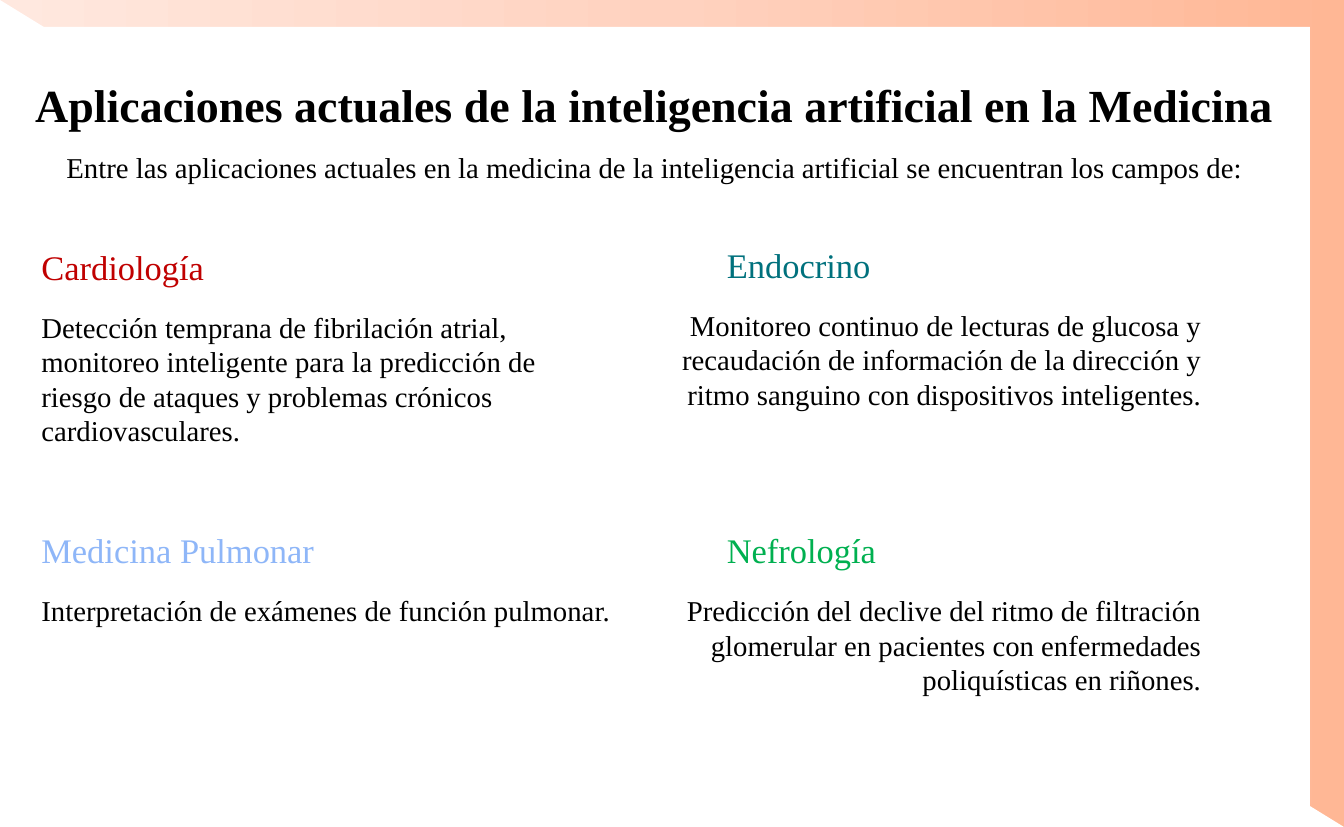
from copy import deepcopy

from pptx import Presentation
from pptx.dml.color import RGBColor
from pptx.enum.shapes import MSO_SHAPE as Shape
from pptx.enum.text import MSO_ANCHOR as Anchor, MSO_AUTO_SIZE as AutoSize, PP_ALIGN as Align
from pptx.oxml.ns import qn
from pptx.util import Inches, Pt

FONT = "Times New Roman"
BLACK = RGBColor(0x00, 0x00, 0x00)
WHITE = RGBColor(0xFF, 0xFF, 0xFF)
RED = RGBColor(0xC0, 0x00, 0x00)
TEAL = RGBColor(0x00, 0x71, 0x7D)
BLUE = RGBColor(0x8E, 0xB6, 0xF8)
GREEN = RGBColor(0x00, 0xB0, 0x50)
PEACH = RGBColor(0xFF, 0xB7, 0x95)
PEACH_MID = RGBColor(0xFF, 0xD2, 0xBF)
PEACH_PALE = RGBColor(0xFF, 0xE8, 0xDF)

TITLE = "Aplicaciones actuales de la inteligencia artificial en la Medicina"
INTRO = ("Entre las aplicaciones actuales en la medicina de la inteligencia "
         "artificial se encuentran los campos de:")

# Heading, colour, description, box, heading indent, description alignment
FIELDS = [
    ("Cardiología", RED,
     "Detección temprana de fibrilación atrial, monitoreo inteligente para la predicción "
     "de riesgo de ataques y problemas crónicos cardiovasculares.",
     (0.3, 2.33, 5.65, 2.08), 0, Align.LEFT),
    ("Medicina Pulmonar", BLUE,
     "Interpretación de exámenes de función pulmonar.",
     (0.3, 5.07, 5.79, 1.63), 0, Align.LEFT),
    ("Endocrino", TEAL,
     "Monitoreo continuo de lecturas de glucosa y recaudación de información de la "
     "dirección y ritmo sanguino con dispositivos inteligentes.",
     (5.93, 2.31, 5.79, 2.08), 1, Align.RIGHT),
    ("Nefrología", GREEN,
     "Predicción del declive del ritmo de filtración glomerular en pacientes con "
     "enfermedades poliquísticas en riñones.",
     (5.93, 5.07, 5.79, 1.63), 1, Align.RIGHT),
]


def write(para, text, size=20, color=BLACK, bold=False, align=Align.LEFT,
          indent=0, before=0, spacing=None):
    """Fill a paragraph with one formatted span, without a bullet."""
    properties = para._p.get_or_add_pPr()
    properties.set("marL", str(Inches(indent)))
    properties.set("indent", "0")
    para.alignment = align
    para.space_before = Pt(before)
    para.line_spacing = spacing or Pt(size * 1.2)
    properties.append(properties.makeelement(qn("a:buNone"), {}))
    span = para.add_run()
    span.text = text
    span.font.name = FONT
    span.font.size = Pt(size)
    span.font.bold = bold
    span.font.color.rgb = color


class SlideBuilder:
    """Holds the current slide and its shared style."""

    def __init__(self, page):
        self.page = page
        self.backdrop_count = 0

    def place(self, box, area):
        """Move a text holder and return its top-anchored frame."""
        box.left, box.top, box.width, box.height = map(Inches, area)
        frame = box.text_frame
        frame.word_wrap = True
        frame.auto_size = AutoSize.NONE
        frame.vertical_anchor = Anchor.TOP
        return frame

    def backdrop(self, kind, area, rotation=0):
        """Add a white shape behind all text, above earlier backdrops."""
        shape = self.page.shapes.add_shape(kind, *map(Inches, area))
        shape.rotation = rotation
        shape.shadow.inherit = False
        shape.line.fill.background()
        shape.fill.solid()
        shape.fill.fore_color.rgb = WHITE
        self.page.shapes._spTree.insert(2 + self.backdrop_count, shape._element)
        self.backdrop_count += 1
        return shape

    def gradient(self, shape, colors, angle):
        """Spread the colours evenly over a linear gradient."""
        shape.fill.gradient()
        shape.fill.gradient_angle = angle
        stop_list = shape._element.spPr.find(".//" + qn("a:gsLst"))
        while len(stop_list) < len(colors):
            stop_list.append(deepcopy(stop_list[0]))
        for number, (stop, color) in enumerate(zip(shape.fill.gradient_stops, colors)):
            stop.position = number / (len(colors) - 1)
            stop.color.rgb = color

    def title(self, text, area):
        frame = self.place(self.page.shapes.title, area)
        write(frame.paragraphs[0], text, size=32, bold=True, align=Align.CENTER, spacing=1.15)

    def intro(self, text, area):
        box = self.page.shapes.add_textbox(0, 0, 0, 0)
        write(self.place(box, area).paragraphs[0], text, align=Align.CENTER)

    def field(self, box, heading, color, text, area, indent, align):
        frame = self.place(box, area)
        write(frame.paragraphs[0], heading, size=24, color=color, indent=indent)
        write(frame.add_paragraph(), text, align=align, before=15.6)


def main():
    deck = Presentation()
    deck.slide_width, deck.slide_height = Inches(13), Inches(8)
    page = deck.slides.add_slide(deck.slide_layouts.get_by_name("Comparison"))
    builder = SlideBuilder(page)

    # Peach frame: gradient sheet covered by two white triangles
    sheet = builder.backdrop(Shape.RECTANGLE, (0, 0, 13, 8))
    builder.gradient(sheet, [PEACH, PEACH_MID, PEACH_PALE], 180)
    builder.backdrop(Shape.RIGHT_TRIANGLE, (0.3, 0.26, 12.37, 7.69), rotation=180)
    builder.backdrop(Shape.RIGHT_TRIANGLE, (0, 0, 13, 8))

    # Title and introduction
    builder.title(TITLE, (0.15, 0.61, 12.37, 0.75))
    builder.intro(INTRO, (0.15, 1.4, 12.37, 0.5))

    # Medical fields, one per body placeholder
    bodies = [box for box in page.placeholders if box.placeholder_format.idx > 0]
    for box, field in zip(bodies, FIELDS):
        builder.field(box, *field)

    deck.save("out.pptx")


if __name__ == "__main__":
    main()
